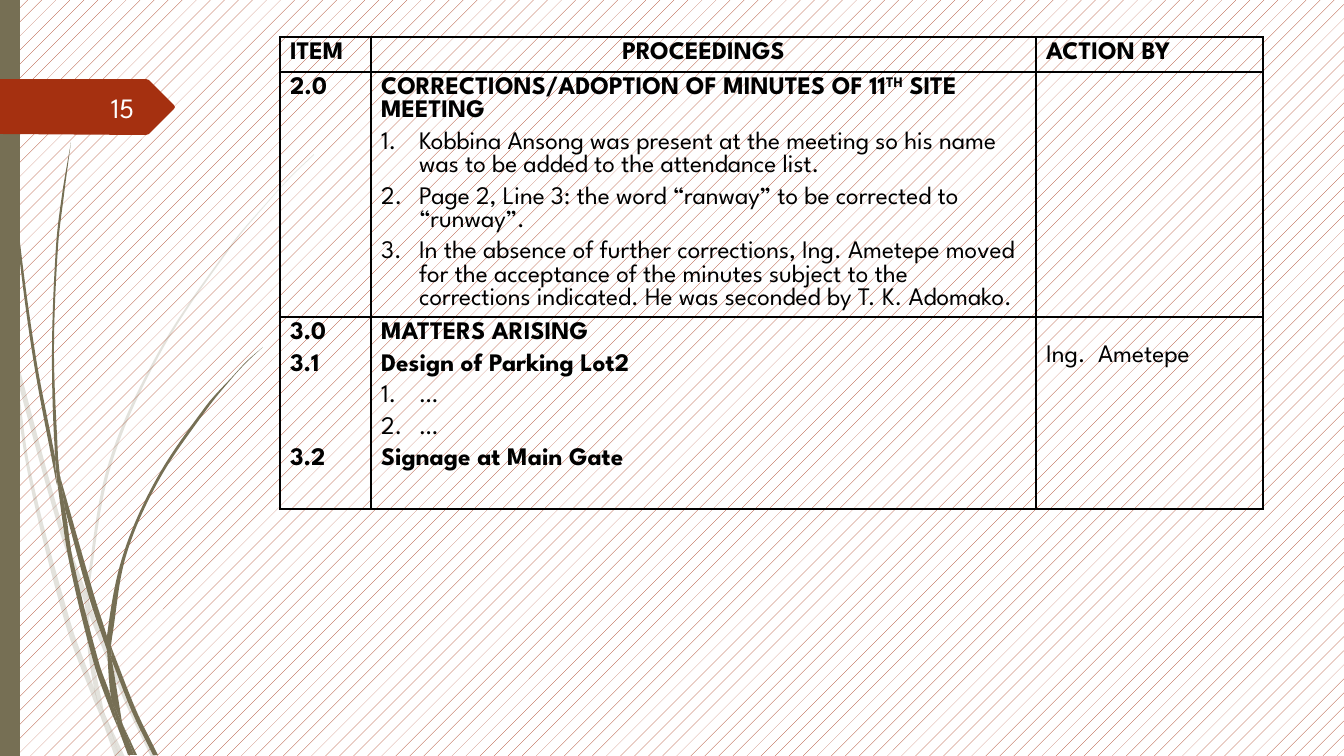
import math

from lxml import etree
from pptx import Presentation
from pptx import util as u
from pptx.dml import color
from pptx.enum import dml, shapes, text
from pptx.oxml import ns

PX = 914400 / 100.8
FONT = "League Spartan"
COLORS = {"rust": "A53010", "olive": "766F54", "paper": "FFFFFF",
          "ink": "000000", "number": "FEFFFF"}

LIGHT_BLADES = [
    ([(11, 353), (9, 325), (0, 284)], [(0, 301), (10, 347)]),
    ([(14, 348), (62, 524), (86, 591)], [(85, 604), (58, 526), (17, 379)]),
    ([(89, 601), (93, 612), (128, 698), (156, 757)], [(151, 757), (124, 700), (89, 615)]),
    ([(106, 717), (125, 757)], [(120, 757)]),
    ([(11, 353), (17, 379), (31, 473), (71, 624), (94, 688), (100, 713), (102, 720)],
     [(93, 699), (66, 626), (28, 474), (11, 353)]),
    ([(85, 604), (88, 651), (94, 688), (97, 698), (106, 717)],
     [(104, 712), (92, 651), (89, 615), (89, 613)]),
    ([(314, 154), (291, 176), (270, 199), (230, 246), (159, 351), (108, 465), (86, 589), (86, 591)],
     [(89, 601), (89, 589), (111, 466), (161, 352), (231, 247), (270, 200), (292, 176), (314, 155)]),
    ([(102, 720), (115, 757)], [(120, 757)]),
    ([(86, 591), (89, 601), (89, 615)], [(89, 613), (85, 604)]),
    ([(94, 688), (97, 698), (106, 717), (120, 757)], [(102, 720), (100, 713)]),
]
DARK_BLADES = [
    ([(4, 0), (5, 48), (8, 110), (19, 234), (36, 358), (55, 457), (55, 461), (57, 485)],
     [(56, 481), (33, 358), (17, 235), (7, 111), (4, 48), (3, 0)]),
    ([(60, 476), (94, 595), (107, 636), (107, 638)], [(107, 650), (89, 597), (65, 509)]),
    ([(111, 646), (114, 654), (137, 712), (158, 755)], [(153, 755), (133, 714), (112, 661)]),
    ([(57, 481), (65, 509), (73, 560), (99, 663), (111, 697), (117, 723), (118, 728)],
     [(112, 714), (94, 664), (69, 561), (57, 481)]),
    ([(71, 142), (62, 195), (56, 247), (52, 352), (55, 453), (60, 476)],
     [(58, 457), (54, 352), (58, 247), (64, 195), (71, 142)]),
    ([(123, 725), (137, 755)], [(134, 755)]),
    ([(55, 453), (60, 476), (65, 509)], [(57, 481), (55, 457)]),
    ([(263, 347), (247, 361), (233, 376), (206, 406), (157, 478), (123, 555), (107, 636), (111, 646)],
     [(112, 638), (126, 556), (159, 480), (207, 409), (233, 377), (247, 362), (263, 347)]),
    ([(118, 728), (128, 755)], [(132, 755)]),
    ([(107, 650), (111, 697), (117, 712), (123, 725)], [(122, 722), (112, 661), (110, 656)]),
    ([(107, 636), (111, 646), (112, 661)], [(110, 656), (107, 650), (107, 638)]),
    ([(111, 697), (117, 712), (123, 725), (134, 755)], [(131, 755), (118, 728), (117, 723)]),
]

HEADINGS = ["ITEM", "PROCEEDINGS", "ACTION BY"]
CORRECTIONS = [
    "Kobbina Ansong was present at the meeting so his name was to be added to the attendance list.",
    "Page 2, Line 3: the word “ranway” to be corrected to “runway”.",
    "In the absence of further corrections, Ing. Ametepe moved for the acceptance of the minutes "
    "subject to the corrections indicated. He was seconded by T. K. Adomako.",
]


def px(length):
    return u.Emu(round(length * PX))


def rgb(name):
    return color.RGBColor.from_string(COLORS[name])


def write(paragraph, words, size=18, bold=False, ink="ink", align=None, before=None,
          after=None, leading=None, numbered=False, raised=False):
    if numbered:
        props = paragraph._p.get_or_add_pPr()
        props.set("marL", str(px(38)))
        props.set("indent", str(-px(38)))
        etree.SubElement(props, ns.qn("a:buFont"), typeface="+mj-lt")
        etree.SubElement(props, ns.qn("a:buAutoNum"), type="arabicPeriod")
    if align is not None:
        paragraph.alignment = align
    if leading is not None:
        paragraph.line_spacing = u.Pt(leading)
    if before is not None:
        paragraph.space_before = u.Pt(before)
    if after is not None:
        paragraph.space_after = u.Pt(after)
    run = paragraph.add_run()
    run.text = words
    run.font.name, run.font.size, run.font.bold = FONT, u.Pt(size), bold
    run.font.color.rgb = rgb(ink)
    if raised:
        run._r.get_or_add_rPr().set("baseline", "30000")


def write_lines(cell, lines):
    frame = cell.text_frame
    for index, (words, style) in enumerate(lines):
        paragraph = frame.add_paragraph() if index else frame.paragraphs[0]
        write(paragraph, words, leading=16.56, **style)


def paint(shape, name, alpha=None):
    shape.shadow.inherit = False
    shape.fill.solid()
    shape.fill.fore_color.rgb = rgb(name)
    shape.line.fill.background()
    if alpha:
        tint = shape._element.spPr.find(".//" + ns.qn("a:srgbClr"))
        etree.SubElement(tint, ns.qn("a:alpha"), val=str(alpha * 1000))


def outline(slide, left, top, points, name, alpha=None):
    corners = [(px(left + x), px(top + y)) for x, y in points]
    builder = slide.shapes.build_freeform(*corners[0])
    builder.add_line_segments(corners[1:], close=True)
    shape = builder.convert_to_shape()
    paint(shape, name, alpha)
    return shape


def handle(anchor, behind, ahead, reach):
    dx, dy = ahead[0] - behind[0], ahead[1] - behind[1]
    length = math.hypot(dx, dy) or 1
    return anchor[0] + dx / length * reach, anchor[1] + dy / length * reach


def bend(blade, turn):
    segments = list(blade._element.spPr.iter(ns.qn("a:lnTo")))
    points = [(int(pt.get("x")), int(pt.get("y"))) for pt in blade._element.spPr.iter(ns.qn("a:pt"))]
    for end, segment in enumerate(segments[:len(points) - 1], 1):
        begin = end - 1
        if end == turn:
            continue
        start, stop = points[begin], points[end]
        behind = start if begin in (0, turn) else points[begin - 1]
        ahead = stop if end in (turn - 1, len(points) - 1) else points[end + 1]
        reach = math.dist(start, stop) / 3
        curve = etree.Element(ns.qn("a:cubicBezTo"))
        for x, y in (handle(start, behind, stop, reach), handle(stop, start, ahead, -reach), stop):
            etree.SubElement(curve, ns.qn("a:pt"), x=str(round(x)), y=str(round(y)))
        segment.getparent().replace(segment, curve)


def grass(slide, left, top, height):
    for blades, alpha in ((LIGHT_BLADES, 20), (DARK_BLADES, None)):
        for outward, back in blades:
            bend(outline(slide, left, top, outward + back, "olive", alpha), len(outward))
    stem = slide.shapes.add_shape(shapes.MSO_SHAPE.RECTANGLE, px(left), px(top), px(20), px(height))
    paint(stem, "olive")


def page_tag(slide, left, top, number):
    tag = [(0, 0), (146, 0), (149, 1), (174, 26), (175, 28), (174, 30), (149, 55), (146, 56), (0, 55)]
    outline(slide, left, top, tag, "rust")
    box = slide.shapes.add_textbox(px(left + 58), px(top + 8), px(86), px(40))
    box.text_frame.word_wrap = True
    box.text_frame.vertical_anchor = text.MSO_ANCHOR.MIDDLE
    write(box.text_frame.paragraphs[0], number, size=20, ink="number", align=text.PP_ALIGN.RIGHT)


def border(cell):
    props = cell._tc.get_or_add_tcPr()
    for index, side in enumerate(("lnL", "lnR", "lnT", "lnB")):
        edge = etree.Element(ns.qn("a:" + side), w=str(u.Pt(1)))
        fill = etree.SubElement(edge, ns.qn("a:solidFill"))
        etree.SubElement(fill, ns.qn("a:srgbClr"), val=COLORS["ink"])
        props.insert(index, edge)


def minutes_table(slide, left, top, widths, heights):
    minutes = slide.shapes.add_table(len(heights), len(widths), px(left), px(top),
                                     px(sum(widths)), px(sum(heights))).table
    minutes.first_row = minutes.horz_banding = False
    for column, width in zip(minutes.columns, widths):
        column.width = px(width)
    for row, height in zip(minutes.rows, heights):
        row.height = px(height)
    for cell in minutes.iter_cells():
        cell.fill.background()
        border(cell)
    for index, heading in enumerate(HEADINGS):
        align = text.PP_ALIGN.CENTER if heading == "PROCEEDINGS" else text.PP_ALIGN.LEFT
        write_lines(minutes.cell(0, index), [(heading, {"bold": True, "align": align})])
    strong = {"bold": True, "after": 6}
    listed = {"numbered": True, "after": 6}
    write_lines(minutes.cell(1, 0), [("2.0", {"bold": True})])
    adoption = minutes.cell(1, 1)
    write_lines(adoption, [("CORRECTIONS/ADOPTION OF MINUTES OF 11", strong)]
                + [(correction, listed) for correction in CORRECTIONS])
    title = adoption.text_frame.paragraphs[0]
    write(title, "TH", bold=True, raised=True)
    write(title, " SITE MEETING", bold=True)
    write_lines(minutes.cell(2, 0), [("3.0", strong), ("3.1", strong), ("3.2", {**strong, "before": 45})])
    write_lines(minutes.cell(2, 1), [("MATTERS ARISING", strong), ("Design of Parking Lot2", strong),
                                     ("…", listed), ("…", listed), ("Signage at Main Gate", strong)])
    action = minutes.cell(2, 2)
    action.margin_top = px(28)
    write_lines(action, [("Ing.  Ametepe", {})])


def main():
    deck = Presentation()
    deck.slide_width, deck.slide_height = px(1344), px(756)
    slide = deck.slides.add_slide(deck.slide_layouts[6])
    backdrop = slide.background.fill
    backdrop.patterned()
    backdrop.pattern = dml.MSO_PATTERN.PERCENT_5
    backdrop.fore_color.rgb, backdrop.back_color.rgb = rgb("rust"), rgb("paper")
    grass(slide, 0, 0, 756)
    page_tag(slide, 0, 79, "15")
    minutes_table(slide, 280, 37, [91, 665, 227], [35, 245, 192])
    deck.save("out.pptx")


if __name__ == "__main__":
    main()
